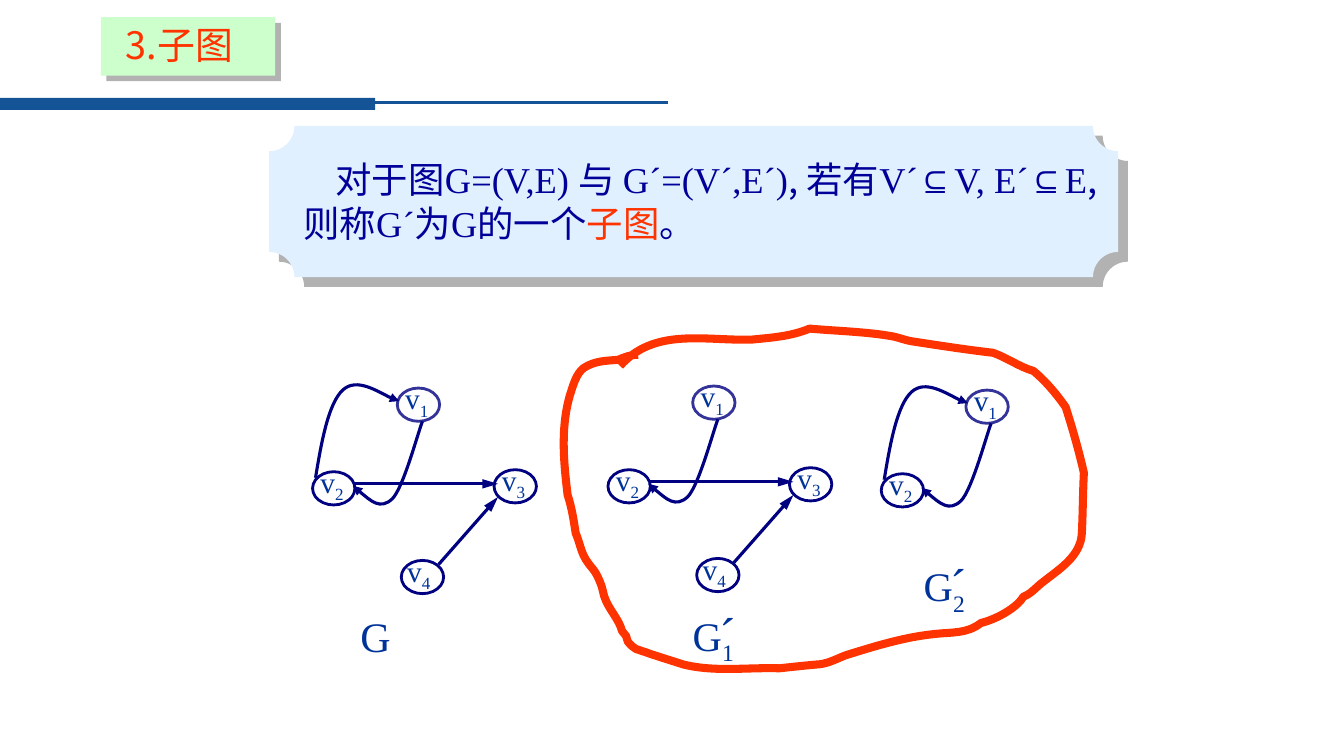
from lxml import etree
from pptx import Presentation, util as u
from pptx.dml.color import RGBColor
from pptx.enum import shapes, text
from pptx.oxml.ns import qn

CELL = u.Inches(0.01)
COLS, ROWS = 1333, 750
COLORS = {
    "bar": "145396", "panel": "E1F0FF", "badge": "CCFFCC", "shade": "B2B2B2",
    "body": "000099", "accent": "FF3300", "label": "003399",
    "edge": "000080", "first": "333399",
}
CJK, LATIN = "Noto Sans CJK SC", "Times New Roman"

DEFINITION = [
    ("对于图", CJK, "body"), ("G=(V,E) ", LATIN, "body"), ("与 ", CJK, "body"),
    ("G´=(V´,E´)", LATIN, "body"), (", 若有", CJK, "body"),
    ("V´⊆V, E´⊆E", LATIN, "body"), (",则称", CJK, "body"),
    ("G´", LATIN, "body"), ("为", CJK, "body"), ("G", LATIN, "body"),
    ("的一个", CJK, "body"), ("子图", CJK, "accent"), ("。", CJK, "body"),
]

VERTICES = {"1": (84, 11, -2), "2": (0, 94, -2), "3": (180, 92, -2), "4": (88, 182, -4)}
STRAIGHT = {"23": (42, 106, 184, 106), "43": (125, 186, 184, 119)}
CURVED = {
    "21": [(3, 100), (9, 63), (16, 26), (30, 13), (44, 0), (77, 22), (86, 24)],
    "12": [(109, 44), (104, 57), (90, 110), (79, 121), (67, 132), (54, 120), (40, 108)],
}
GRAPHS = [
    dict(col=310, row=374, vertices="1234", edges=["21", "12", "23", "43"],
         caption=(37, 227, 51, 61), size=30),
    dict(col=603, row=372, vertices="1234", edges=["12", "23", "43"],
         caption=(73, 229, 63, 59), size=29, index="1"),
    dict(col=874, row=376, vertices="12", edges=["21", "12"],
         caption=(31, 176, 63, 59), size=29, index="2"),
]
LOOP = [
    (615, 363), (649, 325), (698, 338), (745, 337), (764, 335), (784, 334), (803, 326),
    (824, 328), (857, 329), (881, 333), (890, 334), (898, 338), (907, 339),
    (933, 343), (959, 347), (985, 350), (999, 355), (1011, 364), (1025, 368),
    (1037, 378), (1048, 391), (1057, 404), (1064, 426), (1070, 447), (1075, 469),
    (1074, 489), (1074, 509), (1073, 529), (1072, 552), (1050, 565), (1035, 577),
    (1028, 582), (1023, 589), (1015, 592), (1008, 604), (986, 615), (973, 618),
    (959, 629), (944, 627), (927, 629), (897, 632), (868, 641), (839, 650),
    (831, 653), (822, 658), (813, 659), (800, 660), (773, 663), (773, 663),
    (741, 662), (708, 667), (677, 659), (668, 656), (658, 653), (649, 650),
    (645, 649), (641, 647), (637, 646), (635, 645), (631, 644), (631, 644),
    (628, 642), (625, 640), (623, 637), (622, 636), (622, 633), (621, 631),
    (620, 629), (618, 628), (617, 626), (614, 615), (606, 607), (601, 596),
    (598, 590), (598, 583), (595, 577), (589, 563), (588, 566), (581, 555),
    (576, 547), (575, 538), (571, 529), (569, 516), (567, 503), (563, 491),
    (559, 458), (556, 425), (565, 393), (568, 384), (571, 371), (579, 365),
    (590, 358), (600, 358), (613, 357), (620, 354), (625, 352), (633, 352),
]


def cells(*counts):
    return [u.Emu(int(count * CELL)) for count in counts]


def color(name):
    return RGBColor.from_string(COLORS[name])


def write(slide, box, runs, size, wrap=False, align=None, indent=0):
    frame = slide.shapes.add_textbox(*cells(*box)).text_frame
    frame.word_wrap = wrap
    paragraph = frame.paragraphs[0]
    if align:
        paragraph.alignment = align
    if indent:
        paragraph._p.get_or_add_pPr().set("indent", str(int(indent * CELL)))
    for words, typeface, tint, *baseline in runs:
        run = paragraph.add_run()
        run.text = words
        run.font.size = u.Pt(size)
        run.font.name = typeface
        run.font.color.rgb = color(tint)
        properties = run._r.get_or_add_rPr()
        etree.SubElement(properties, qn("a:ea"), typeface=typeface)
        if baseline:
            properties.set("baseline", str(baseline[0]))


def draw(slide, kind, box, fill=None, line=None, width=2, shade=0):
    figure = slide.shapes.add_shape(kind, *cells(*box))
    figure.shadow.inherit = False
    paint(figure, fill, line, width)
    if shade:
        effects = figure._element.spPr.find(qn("a:effectLst"))
        shadow = etree.SubElement(
            effects, qn("a:outerShdw"), blurRad="0", dist=str(u.Pt(shade)),
            dir=str(45 * 60000), algn="ctr", rotWithShape="0")
        etree.SubElement(shadow, qn("a:srgbClr"), val=COLORS["shade"])
    return figure


def paint(figure, fill, line, width):
    if fill:
        figure.fill.solid()
        figure.fill.fore_color.rgb = color(fill)
    else:
        figure.fill.background()
    if line:
        figure.line.color.rgb = color(line)
        figure.line.width = u.Pt(width)
    else:
        figure.line.fill.background()


def point_arrow(figure, length):
    etree.SubElement(figure.line._get_or_add_ln(), qn("a:tailEnd"),
                     type="triangle", w="med", len=length)


def straight(slide, ends, tint, arrow=False):
    stroke = slide.shapes.add_connector(shapes.MSO_CONNECTOR.STRAIGHT, *cells(*ends))
    stroke.line.color.rgb = color(tint)
    stroke.line.width = u.Pt(2.25)
    if arrow:
        point_arrow(stroke, "lg")
    etree.SubElement(stroke._element.spPr, qn("a:effectLst"))


def curve(slide, points, tint, width, arrow=False):
    builder = slide.shapes.build_freeform(*points[0], scale=float(CELL))
    builder.add_line_segments(points[1:], close=False)
    stroke = builder.convert_to_shape()
    stroke.shadow.inherit = False
    paint(stroke, None, tint, width)
    outline = stroke._element.spPr.find(".//" + qn("a:path"))
    steps = outline.findall(qn("a:lnTo"))
    for start in range(0, len(steps), 3):
        bezier = etree.SubElement(outline, qn("a:cubicBezTo"))
        for step in steps[start:start + 3]:
            bezier.append(step[0])
            outline.remove(step)
    if arrow:
        point_arrow(stroke, "med")


def header(slide, col, row):
    draw(slide, shapes.MSO_SHAPE.RECTANGLE, (0, row + 80, 372, 12), "bar")
    straight(slide, (368, row + 85, COLS / 2 - 4, row + 85), "bar")
    draw(slide, shapes.MSO_SHAPE.RECTANGLE, (col, row, 173, 58), "badge", shade=5.7)
    write(slide, (col + 15, row, 148, 56), [("3.子图", CJK, "accent")], 27, wrap=True)


def definition(slide, col, row):
    panel = draw(slide, shapes.MSO_SHAPE.PLAQUE, (col, row, 842, 150), "panel", shade=9.9)
    panel.adjustments[0] = 0.167
    write(slide, (col + 24, row + 26, 825, 98), DEFINITION, 26, wrap=True, indent=32)


def graph(slide, col, row, vertices, edges, caption, size, index=None):
    for number in vertices:
        x, y, shift = VERTICES[number]
        draw(slide, shapes.MSO_SHAPE.OVAL, (col + x, row + y, 42, 33),
             line="first" if number == "1" else "edge")
        write(slide, (col + x + shift, row + y - 12.5, 45, 45),
              [("v", LATIN, "label"), (number, LATIN, "label", -25000)], 21)
    for edge in edges:
        if edge in STRAIGHT:
            x1, y1, x2, y2 = STRAIGHT[edge]
            straight(slide, (col + x1, row + y1, col + x2, row + y2), "edge", arrow=True)
        else:
            points = [(col + x, row + y) for x, y in CURVED[edge]]
            curve(slide, points, "edge", 2.25, arrow=True)
    x, y, width, height = caption
    name = [("G", LATIN, "label")]
    if index:
        name.append((index, LATIN, "label", -25000))
        write(slide, (col + x + 23, row + y - 7, 45, 69), [("´", LATIN, "label")], 35,
              align=text.PP_ALIGN.CENTER)
    write(slide, (col + x, row + y, width, height), name, size, align=text.PP_ALIGN.CENTER)


def main():
    deck = Presentation()
    deck.slide_width, deck.slide_height = cells(COLS, ROWS)
    slide = deck.slides.add_slide(deck.slide_layouts[6])
    header(slide, 100, 17)
    definition(slide, 267, 125)
    curve(slide, LOOP, "accent", 5.75)
    for parts in GRAPHS:
        graph(slide, **parts)
    deck.save("out.pptx")


if __name__ == "__main__":
    main()
